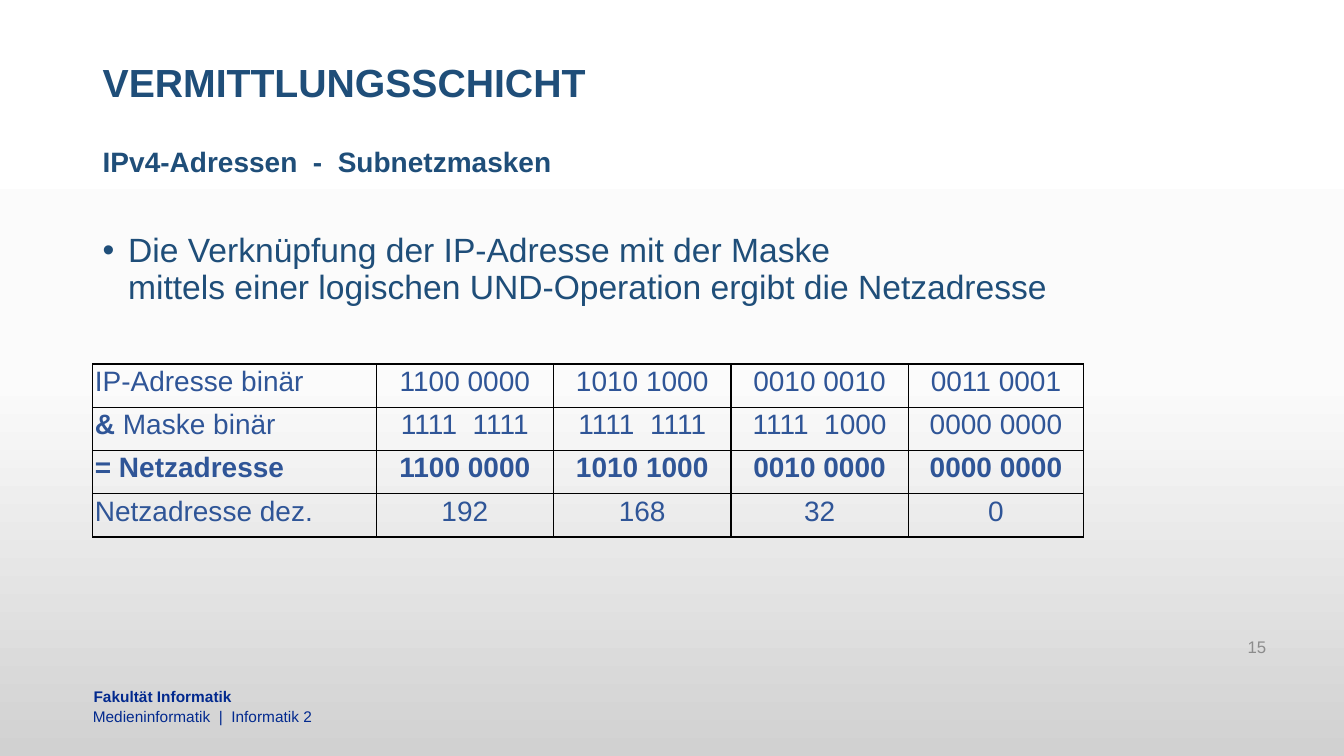
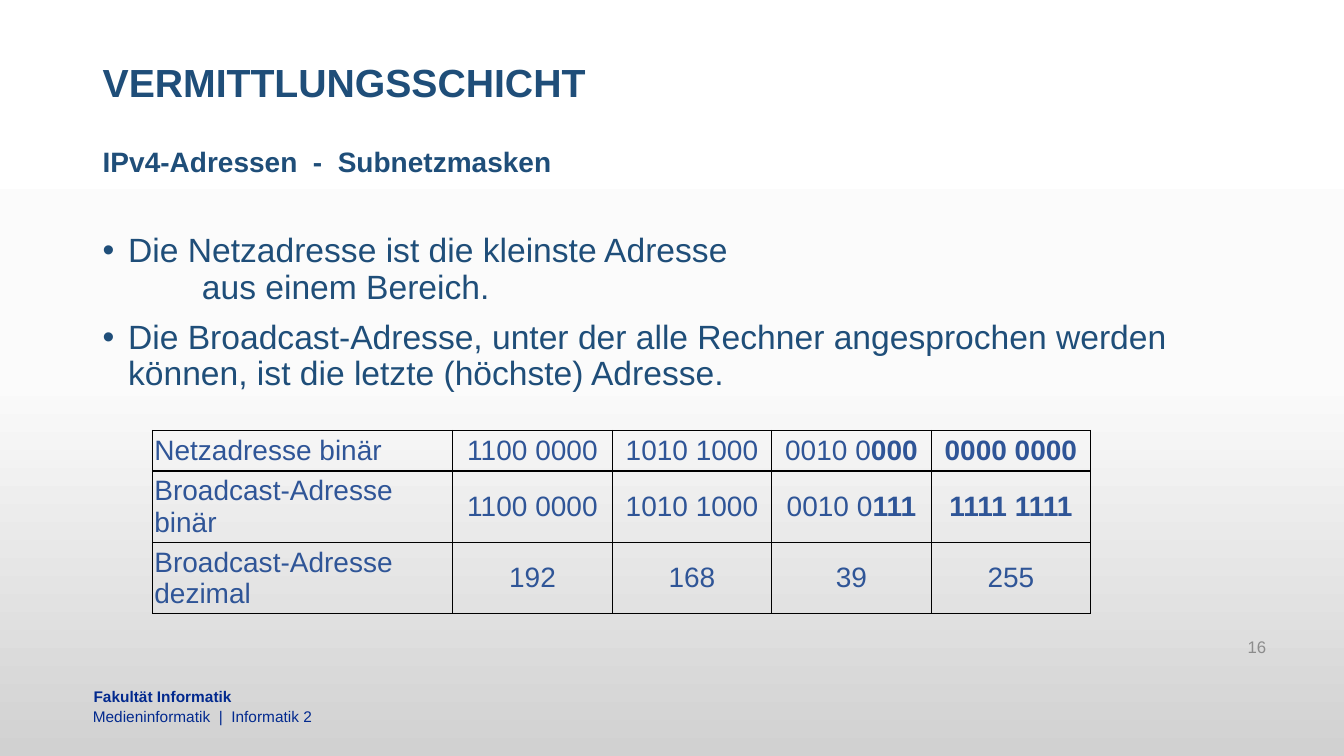
import copy

import lxml.etree
import pptx
import pptx.dml.color
import pptx.enum.text
import pptx.oxml.ns
import pptx.util

Cm = pptx.util.Cm
Pt = pptx.util.Pt
ALIGN = pptx.enum.text.PP_ALIGN
ANCHOR = pptx.enum.text.MSO_ANCHOR
qn = pptx.oxml.ns.qn

COLORS = {
    "heading": "1F4E79",
    "table": "2F5597",
    "footer": "02298E",
    "number": "8C8C8C",
    "border": "000000",
}
BACKGROUND = {0: "FFFFFF", 0.5: "FBFBFB", 1: "D1D1D1"}
FONT = "Arial"
LEFT = 2.34
WIDTH = 29.21


def rgb(value):
    return pptx.dml.color.RGBColor.from_string(value)


def write(paragraph, text, size=20, color="heading", bold=False,
          align=ALIGN.LEFT, line_spacing=None, space_before=0):
    """Text between asterisks is bold; a line feed is a line break."""
    paragraph.alignment = align
    paragraph.space_before = Pt(space_before)
    if line_spacing:
        paragraph.line_spacing = line_spacing
    for part_index, part in enumerate(text.split("*")):
        for line_index, line in enumerate(part.split("\n")):
            if line_index:
                paragraph.add_line_break()
            if line:
                run = paragraph.add_run()
                run.text = line
                run.font.name = FONT
                run.font.size = Pt(size)
                run.font.bold = bold or part_index % 2 == 1
                run.font.color.rgb = rgb(COLORS[color])


def set_indent(paragraph, left, bullet=True):
    properties = paragraph._p.get_or_add_pPr()
    properties.set("marL", str(Cm(left)))
    properties.set("indent", str(-Cm(left) if bullet else 0))
    if bullet:
        font = lxml.etree.SubElement(properties, qn("a:buFont"))
        font.set("typeface", FONT)
        character = lxml.etree.SubElement(properties, qn("a:buChar"))
        character.set("char", "•")


def set_borders(cell):
    properties = cell._tc.get_or_add_tcPr()
    for index, side in enumerate(("a:lnL", "a:lnR", "a:lnT", "a:lnB")):
        line = lxml.etree.Element(qn(side), w=str(Pt(1)))
        fill = lxml.etree.SubElement(line, qn("a:solidFill"))
        lxml.etree.SubElement(fill, qn("a:srgbClr"), val=COLORS["border"])
        properties.insert(index, line)


class Deck:
    def __init__(self):
        self.presentation = pptx.Presentation()
        self.presentation.slide_width = Cm(33.87)
        self.presentation.slide_height = Cm(19.05)
        self.slide = None
        self.paint_background()

    def paint_background(self):
        master = self.presentation.slide_master
        fill = master.background.fill
        fill.gradient()
        fill.gradient_angle = 270
        stop_list = master.element.find(".//" + qn("a:gsLst"))
        stop_list.append(copy.deepcopy(stop_list[-1]))
        for stop, (position, color) in zip(fill.gradient_stops, BACKGROUND.items()):
            stop.position = position
            stop.color.rgb = rgb(color)

    def text_frame(self, left, top, width, height, anchor=ANCHOR.TOP, inset=None):
        shape = self.slide.shapes.add_textbox(Cm(left), Cm(top), Cm(width), Cm(height))
        frame = shape.text_frame
        frame.word_wrap = True
        frame.vertical_anchor = anchor
        if inset is not None:
            frame.margin_left = frame.margin_right = Cm(inset)
            frame.margin_top = frame.margin_bottom = Cm(inset)
        return frame

    def add_text(self, text, left, top, width, height,
                 anchor=ANCHOR.TOP, inset=None, **style):
        frame = self.text_frame(left, top, width, height, anchor, inset)
        write(frame.paragraphs[0], text, **style)

    def add_slide(self, title, subtitle, number):
        layout = self.presentation.slide_layouts[6]
        self.slide = self.presentation.slides.add_slide(layout)
        self.add_text("Fakultät Informatik", 2.36, 17.32, 21.59, 0.51,
                      inset=0, size=11, color="footer", bold=True)
        self.add_text("Medieninformatik  |  Informatik 2", LEFT, 17.83, 21.64, 0.48,
                      inset=0, size=11, color="footer")
        self.add_text(title, LEFT, 0.89, WIDTH, 2.49, anchor=ANCHOR.MIDDLE,
                      size=28, bold=True, line_spacing=0.9)
        self.add_text(subtitle, LEFT, 3.61, WIDTH, 1.27, bold=True, line_spacing=0.9)
        self.add_text(str(number), 24.26, 15.8, 7.9, 1.02, anchor=ANCHOR.MIDDLE,
                      size=12, color="number", align=ALIGN.RIGHT)

    def add_bullets(self, items, height):
        frame = self.text_frame(LEFT, 5.77, WIDTH, height)
        for index, (text, indent, bullet) in enumerate(items):
            paragraph = frame.add_paragraph() if index else frame.paragraphs[0]
            set_indent(paragraph, indent, bullet)
            write(paragraph, text, size=24, line_spacing=0.9,
                  space_before=10 if index and bullet else 0)

    def add_table(self, rows, left, top, widths, heights, anchor=ANCHOR.TOP):
        table = self.slide.shapes.add_table(
            len(rows), len(widths), Cm(left), Cm(top),
            Cm(sum(widths)), Cm(sum(heights))).table
        table.first_row = table.horz_banding = False
        for column, width in zip(table.columns, widths):
            column.width = Cm(width)
        for row, height, texts in zip(table.rows, heights, rows):
            row.height = Cm(height)
            for index, (cell, text) in enumerate(zip(row.cells, texts)):
                cell.fill.background()
                cell.vertical_anchor = anchor
                cell.margin_left = cell.margin_right = Cm(0.05)
                cell.margin_top = cell.margin_bottom = Cm(0.05)
                set_borders(cell)
                write(cell.text_frame.paragraphs[0], text, color="table",
                      align=ALIGN.CENTER if index else ALIGN.LEFT)


def main():
    deck = Deck()
    title = "VERMITTLUNGSSCHICHT"
    subtitle = "IPv4-Adressen  -  Subnetzmasken"

    deck.add_slide(title, subtitle, 15)
    deck.add_table([
        ["IP-Adresse binär", "1100 0000", "1010 1000", "0010 0010", "0011 0001"],
        ["*& *Maske binär", "1111  1111", "1111  1111", "1111  1000", "0000 0000"],
        ["*= Netzadresse*", "*1100 0000*", "*1010 1000*", "*0010 0000*", "*0000 0000*"],
        ["Netzadresse dez.", "192", "168", "32", "0"],
    ], LEFT, 9.17, [7.14] + [4.47] * 3 + [4.42], [1.09] * 4)
    deck.add_bullets([
        ("Die Verknüpfung der IP-Adresse mit der Maske\n"
         "mittels einer logischen UND-Operation ergibt die Netzadresse", 0.64, True),
    ], 3.12)

    deck.add_slide(title, subtitle, 16)
    deck.add_bullets([
        ("Die Netzadresse ist die kleinste Adresse", 0.64, True),
        ("aus einem Bereich.", 2.5, False),
        ("Die Broadcast-Adresse, unter der alle Rechner angesprochen werden "
         "können, ist die letzte (höchste) Adresse.", 0.64, True),
    ], 6.93)
    deck.add_table([
        ["Netzadresse binär", "1100 0000", "1010 1000", "0010 0*000*", "*0000 0000*"],
        ["Broadcast-Adresse binär", "1100 0000", "1010 1000", "0010 0*111*", "*1111 1111*"],
        ["Broadcast-Adresse dezimal", "192", "168", "39", "255"],
    ], 3.84, 10.85, [7.57] + [4.02] * 4, [1.02, 1.69, 1.69], ANCHOR.MIDDLE)

    deck.presentation.save("out.pptx")


if __name__ == "__main__":
    main()
